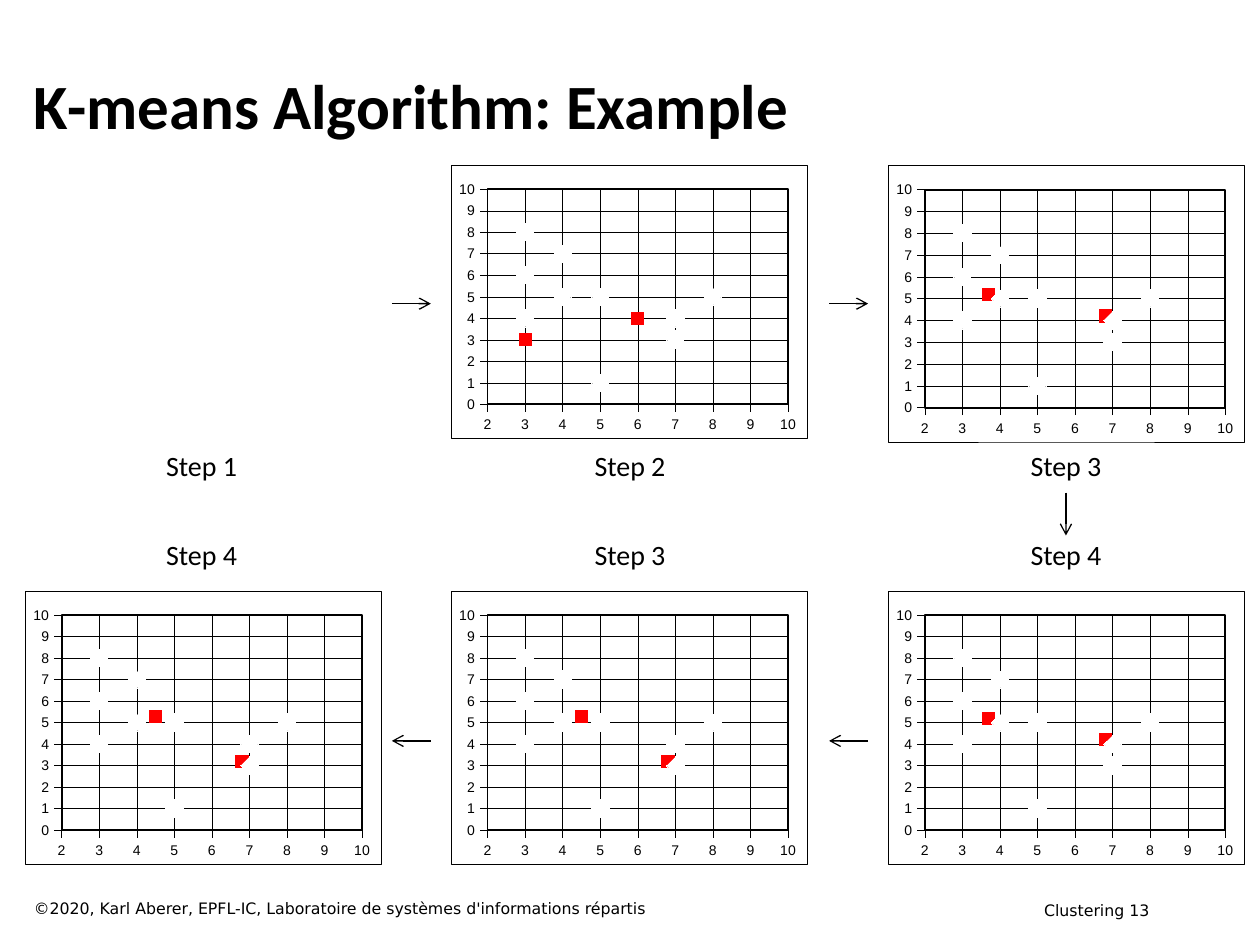
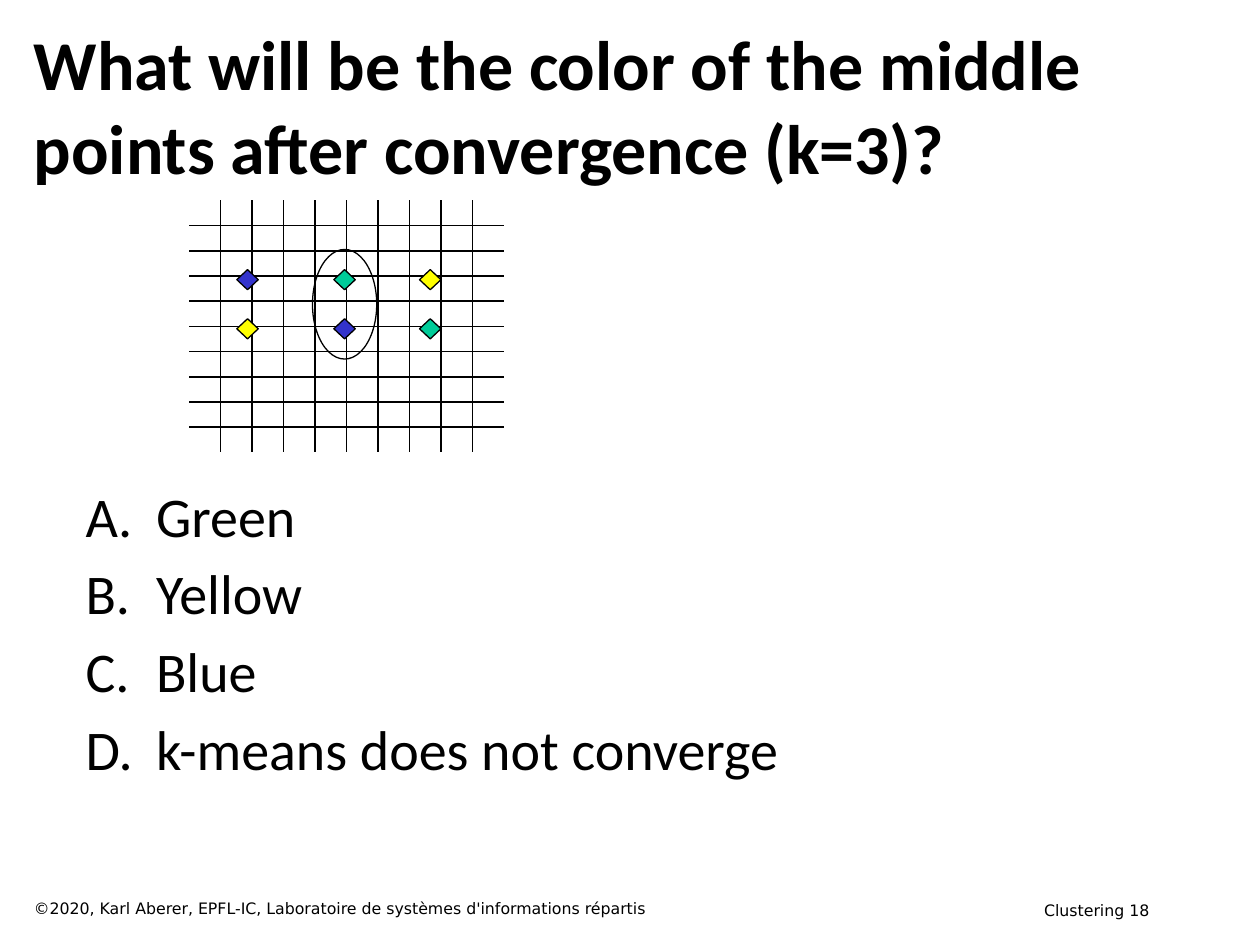
from itertools import product
from lxml.etree import SubElement
from pptx import Presentation
from pptx.chart.data import XyChartData
from pptx.dml.color import RGBColor
from pptx.enum.chart import XL_CHART_TYPE, XL_MARKER_STYLE, XL_TICK_MARK
from pptx.enum.shapes import MSO_CONNECTOR, MSO_SHAPE
from pptx.enum.text import MSO_ANCHOR, PP_ALIGN
from pptx.oxml import parse_xml
from pptx.oxml.ns import nsdecls, qn
from pptx.util import Inches, Pt

BLACK, WHITE, RED = "000000", "FFFFFF", "FF0000"
BLUE, GREEN, YELLOW = "3333CC", "00CC99", "FFFF00"
BODY, SMALL, LABEL = "Calibri", "DejaVu Sans", "Arial"
CREDIT = "©2020, Karl Aberer, EPFL-IC, Laboratoire de systèmes d'informations répartis"
POINTS = [(3, 4), (3, 6), (7, 3), (4, 7), (3, 8),
          (8, 5), (4, 5), (5, 1), (7, 4), (5, 5)]
LEFTS = [0.2, 3.58, 7.05]
MIDS = [1.6, 5, 8.46]
START = [(3, 3), (6, 4)]
MOVED = [(3.7, 5.2), (6.8, 4.2)]
FINAL = [(4.5, 5.3), (6.8, 3.2)]


def color(code):
    return RGBColor.from_string(code)


def apply(item, values):
    for key, value in values.items():
        setattr(item, key, value)


def paint(fill, code):
    fill.solid()
    fill.fore_color.rgb = color(code)


def stroke(line, width):
    line.width = Pt(width)
    paint(line.fill, BLACK)


def style(font, name, size, bold=False):
    apply(font, {"name": name, "size": Pt(size), "bold": bold})
    font.color.rgb = color(BLACK)


def add_text(slide, box, lines, name, size, bold=False, wrap=True,
             align=PP_ALIGN.LEFT, anchor=MSO_ANCHOR.TOP, letters=False):
    frame = slide.shapes.add_textbox(*map(Inches, box)).text_frame
    apply(frame, {"word_wrap": wrap, "vertical_anchor": anchor})
    for i, line in enumerate(lines):
        para = frame.add_paragraph() if i else frame.paragraphs[0]
        para.text = line
        para.alignment = align
        if letters:
            props = para._p.get_or_add_pPr()
            apply_marks(props)
            if i:
                para.space_before = Pt(6)
        style(para.runs[0].font, name, size, bold)


def apply_marks(props):
    props.set("marL", str(Inches(0.94)))
    props.set("indent", str(Inches(-0.56)))
    SubElement(props, qn("a:buFont")).set("typeface", "+mj-lt")
    SubElement(props, qn("a:buAutoNum")).set("type", "alphaUcPeriod")


def add_page(deck, title, size, number):
    slide = deck.slides.add_slide(deck.slide_layouts[6])
    add_text(slide, (6.94, 7.1, 2.28, 0.16), [f"Clustering {number}"],
             SMALL, 9, align=PP_ALIGN.RIGHT)
    add_text(slide, (0.17, 0.33, 9.08, 1), [title], BODY, size, bold=True,
             anchor=MSO_ANCHOR.MIDDLE)
    add_text(slide, (0.17, 7.08, 6.42, 0.25), [CREDIT], SMALL, 9)
    return slide


def add_arrow(slide, start, end):
    line = slide.shapes.add_connector(
        MSO_CONNECTOR.STRAIGHT, *map(Inches, start + end))
    stroke(line.line, 0.75)
    SubElement(line.line._get_or_add_ln(), qn("a:tailEnd")).set("type", "arrow")
    SubElement(line._element.spPr, qn("a:effectLst"))


def frame_xml(width):
    return parse_xml(
        f'<c:spPr {nsdecls("c", "a")}><a:solidFill><a:srgbClr val="{WHITE}"/></a:solidFill>'
        f'<a:ln w="{Pt(width)}"><a:solidFill><a:srgbClr val="{BLACK}"/></a:solidFill></a:ln>'
        '</c:spPr>')


def place_plot(chart):
    root = chart._chartSpace
    root.find(qn("c:chart")).addnext(frame_xml(0.25))
    plot = root.chart.plotArea
    for old in plot.findall(qn("c:layout")):
        plot.remove(old)
    spots = {"x": 0.102, "y": 0.088, "w": 0.844, "h": 0.788}
    parts = "".join(f'<c:{key} val="{val}"/>' for key, val in spots.items())
    plot.insert(0, parse_xml(
        f'<c:layout {nsdecls("c")}><c:manualLayout><c:layoutTarget val="inner"/>'
        f'<c:xMode val="edge"/><c:yMode val="edge"/>{parts}</c:manualLayout></c:layout>'))
    plot.append(frame_xml(1))


def add_scatter(slide, left, top, height, means):
    data = XyChartData()
    for i, group in enumerate([POINTS] + [[mean] for mean in means], 1):
        series = data.add_series(f"Series {i}")
        for x, y in group:
            series.add_data_point(x, y)
    box = map(Inches, (left, top, 2.83, height))
    chart = slide.shapes.add_chart(XL_CHART_TYPE.XY_SCATTER, *box, data).chart
    apply(chart, {"has_legend": False, "has_title": False})
    style(chart.font, LABEL, 8)
    chart.plots[0].vary_by_categories = False
    for axis, low in ((chart.category_axis, 2), (chart.value_axis, 0)):
        apply(axis, {"minimum_scale": low, "maximum_scale": 10, "major_unit": 1,
                     "has_major_gridlines": True,
                     "major_tick_mark": XL_TICK_MARK.OUTSIDE,
                     "minor_tick_mark": XL_TICK_MARK.NONE})
        stroke(axis.format.line, 0.25)
        stroke(axis.major_gridlines.format.line, 0.25)
        style(axis.tick_labels.font, LABEL, 8)
        apply(axis.tick_labels, {"number_format": "General",
                                 "number_format_is_linked": False})
    for i, series in enumerate(chart.plots[0].series):
        shape, size, code = ((XL_MARKER_STYLE.SQUARE, 7, RED) if i
                             else (XL_MARKER_STYLE.DIAMOND, 10, WHITE))
        series.smooth = False
        series.format.line.fill.background()
        apply(series.marker, {"style": shape, "size": size})
        paint(series.marker.format.fill, code)
        paint(series.marker.format.line.fill, code)
    place_plot(chart)


def add_shape(slide, kind, box, code=None):
    shape = slide.shapes.add_shape(kind, *map(Inches, box))
    shape.shadow.inherit = False
    if code:
        paint(shape.fill, code)
    else:
        shape.fill.background()
    stroke(shape.line, 0.75)


def add_grid(slide, left, top, wide, high, count):
    box = map(Inches, (left, top, wide * count, high * count))
    table = slide.shapes.add_table(count, count, *box).table
    apply(table, {"first_row": False, "horz_banding": False})
    for col in table.columns:
        col.width = Inches(wide)
    for row in table.rows:
        row.height = Inches(high)
    last = count - 1
    for r, c in product(range(count), repeat=2):
        cell = table.cell(r, c)
        apply(cell, dict.fromkeys(
            ("margin_left", "margin_right", "margin_top", "margin_bottom"), 0))
        cell.text_frame.paragraphs[0].font.size = Pt(8)
        props = cell._tc.get_or_add_tcPr()
        sides = {"lnL": c > 0, "lnR": c < last, "lnT": r > 0, "lnB": r < last}
        for side, shown in sides.items():
            edge = SubElement(props, qn(f"a:{side}"))
            edge.set("w", str(Pt(1)))
            fill = SubElement(edge, qn("a:solidFill" if shown else "a:noFill"))
            if shown:
                SubElement(fill, qn("a:srgbClr")).set("val", BLACK)
        cell.fill.background()


def build_steps(deck):
    slide = add_page(deck, "K-means Algorithm: Example", 36, 13)
    charts = [(1, 1.31, 2.17, START), (2, 1.31, 2.2, MOVED),
              (2, 4.69, 2.17, MOVED), (1, 4.69, 2.17, FINAL),
              (0, 4.69, 2.17, FINAL)]
    for col, top, height, means in charts:
        add_scatter(slide, LEFTS[col], top, height, means)
    for top, steps in ((3.51, (1, 2, 3)), (4.22, (4, 3, 4))):
        for mid, step in zip(MIDS, steps):
            add_text(slide, (mid - 0.39, top, 0.78, 0.37), [f"Step {step}"],
                     BODY, 16, wrap=False, align=PP_ALIGN.CENTER)
    for x in (3.11, 6.58):
        add_arrow(slide, (x, 2.41), (x + 0.31, 2.41))
        add_arrow(slide, (x + 0.31, 5.88), (x, 5.88))
    add_arrow(slide, (MIDS[2], 3.91), (MIDS[2], 4.25))


def build_quiz(deck):
    slide = add_page(
        deck, "What will be the color of the middle points after convergence (k=3)?",
        40, 18)
    add_text(slide, (0.2, 3.77, 9.08, 3.2),
             ["Green", "Yellow", "Blue", "k-means does not converge"],
             BODY, 32, letters=True)
    add_grid(slide, 1.5, 1.59, 0.25, 0.2, 10)
    rows = {2.14: (BLUE, GREEN, YELLOW), 2.53: (YELLOW, BLUE, GREEN)}
    for top, codes in rows.items():
        for left, code in zip((1.88, 2.65, 3.33), codes):
            add_shape(slide, MSO_SHAPE.DIAMOND, (left, top, 0.17, 0.16), code)
    add_shape(slide, MSO_SHAPE.OVAL, (2.48, 1.98, 0.51, 0.87))


def main():
    deck = Presentation()
    apply(deck, {"slide_width": Inches(10), "slide_height": Inches(7.5)})
    build_steps(deck)
    build_quiz(deck)
    deck.save("out.pptx")


if __name__ == "__main__":
    main()
